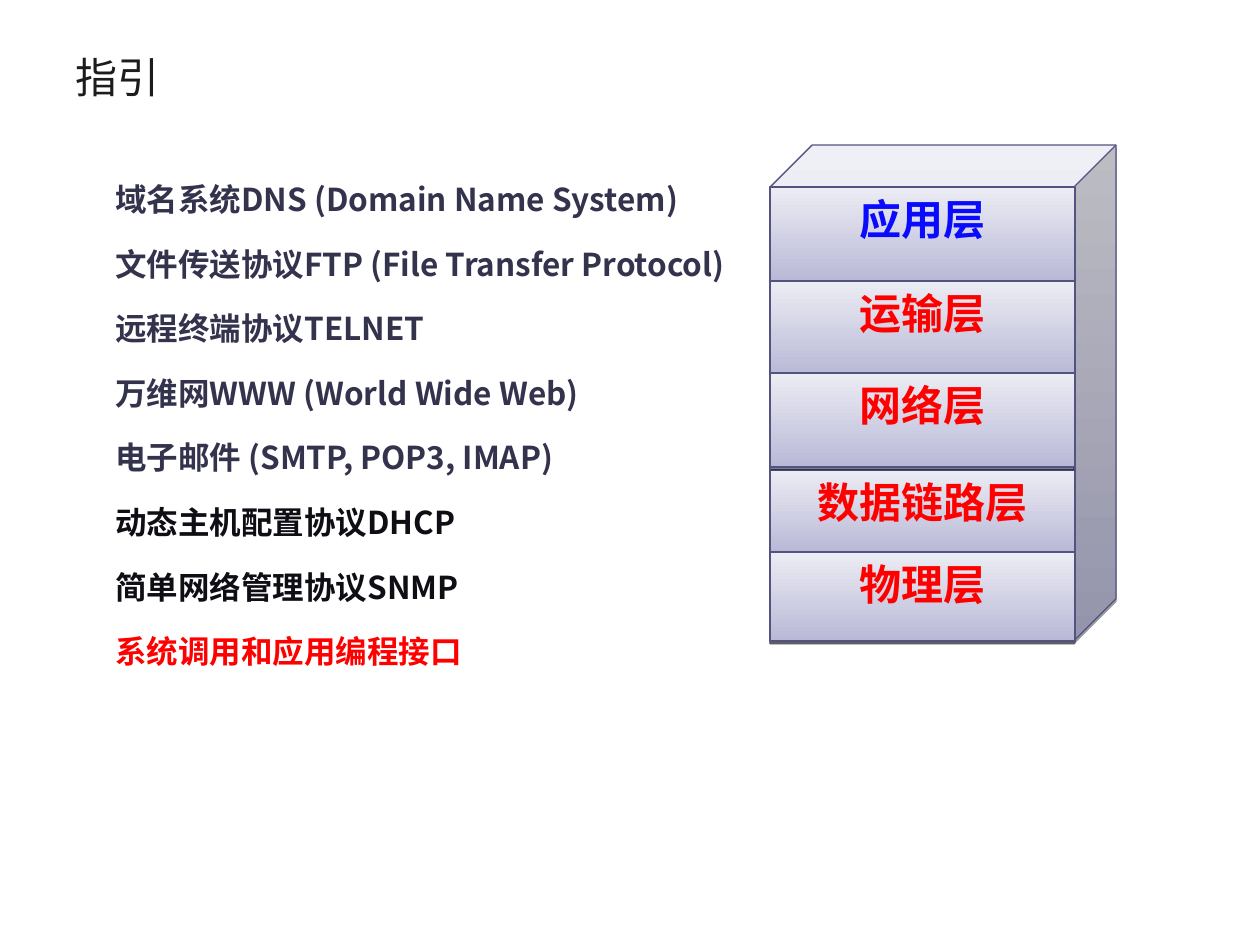
from lxml import etree
from pptx import Presentation
from pptx import util as u
from pptx.dml.color import RGBColor
from pptx.enum import shapes, text
from pptx.oxml import ns

SCALE = 914400 / 126
SANS, LATIN = "Noto Sans CJK SC", "Karla"
NAVY, INK, RED, BLUE = "33334D", "0E0E14", "FF0000", "0A0AFF"
EDGE, SHADE, TINT = "535380", "B9B9D7", "ECECF4"
TOPICS = [
    ("域名系统DNS (Domain Name System)", NAVY),
    ("文件传送协议FTP (File Transfer Protocol)", NAVY),
    ("远程终端协议TELNET", NAVY),
    ("万维网WWW (World Wide Web)", NAVY),
    ("电子邮件 (SMTP, POP3, IMAP)", NAVY),
    ("动态主机配置协议DHCP", INK),
    ("简单网络管理协议SNMP", INK),
    ("系统调用和应用编程接口", RED),
]
LAYERS = [
    ("应用层", SANS, BLUE, 42, 94, [136], (42, 136)),
    ("运输层", SANS, RED, 136, 94, [230], (136, 230)),
    ("数据链路层", LATIN, RED, 325, 82, [325, 472], (325, 472)),
    ("网络层", LATIN, RED, 228, 94, [], (230, 325)),
    ("物理层", LATIN, RED, 407, 89, [], None),
]


def px(*lengths):
    """Turn pixel lengths into EMU."""
    return [u.Emu(round(length * SCALE)) for length in lengths]


def color(value):
    """Turn a hex string into a colour."""
    return RGBColor.from_string(value)


def child(parent, tag, **attributes):
    """Append a drawing element to a parent."""
    return etree.SubElement(parent, ns.qn(tag), attributes)


def write(para, words, size, font, tone, bold):
    """Fill a paragraph with one formatted run."""
    para.text = words
    span = para.runs[0]
    span.font.size, span.font.bold, span.font.name = u.Pt(size), bold, font
    span.font.color.rgb = color(tone)
    child(span.font._element, "a:ea", typeface=SANS)


def add_title(page, box):
    """Place the page title in a box."""
    frame = page.shapes.add_textbox(*px(*box)).text_frame
    frame.word_wrap = True
    frame.vertical_anchor = text.MSO_ANCHOR.MIDDLE
    write(frame.paragraphs[0], "指引", 24, SANS, "1C1C1C", False)


def add_topics(page, box):
    """Place the indented list of topics in a box."""
    frame = page.shapes.add_textbox(*px(*box)).text_frame
    frame.word_wrap = True
    for index, (words, tone) in enumerate(TOPICS):
        para = frame.add_paragraph() if index else frame.paragraphs[0]
        write(para, words, 18, SANS, tone, True)
        para.line_spacing = u.Pt(32.4)
        if index:
            para.space_before = u.Pt(4.5)
        margin, indent = px(48, 1)
        para._p.get_or_add_pPr().set("marL", str(margin))
        para._p.get_or_add_pPr().set("indent", str(indent))


def add_block(group, preset, box):
    """Add a shaded block with a thin edge and a low shadow."""
    block = group.shapes.add_shape(preset, *px(*box))
    block.fill.gradient()
    block.fill.gradient_angle = 90
    for stop, tone, position in zip(block.fill.gradient_stops, (SHADE, TINT), (0, 1)):
        stop.color.rgb = color(tone)
        stop.position = position
    block.line.color.rgb = color(EDGE)
    block.line.width = u.Pt(0.75)
    block.shadow.inherit = False
    effects = block._element.spPr.find(ns.qn("a:effectLst"))
    shadow = child(effects, "a:outerShdw", blurRad="0", dist=str(u.Pt(1.6)),
                   dir="5400000", algn="ctr", rotWithShape="0")
    child(child(shadow, "a:srgbClr", val="000000"), "a:alpha", val="38000")
    return block


def add_rule(group, start, end):
    """Add a thin straight line between two points."""
    rule = group.shapes.add_connector(shapes.MSO_CONNECTOR.STRAIGHT, *px(*start, *end))
    rule.line.color.rgb = color(EDGE)
    rule.line.width = u.Pt(0.75)
    child(rule._element.spPr, "a:effectLst")


def add_stack(page, box):
    """Draw the cube of network layers in a box."""
    left, top, width, height = box
    group = page.shapes.add_group_shape()
    cube = add_block(group, shapes.MSO_SHAPE.CUBE, box)
    cube.adjustments[0] = 0.122
    front = width - 41
    right = left + front
    for name, font, tone, offset, depth, rules, sides in LAYERS:
        layer = add_block(group, shapes.MSO_SHAPE.RECTANGLE,
                          (left, top + offset, front, depth))
        frame = layer.text_frame
        frame.vertical_anchor = text.MSO_ANCHOR.TOP
        para = frame.paragraphs[0]
        write(para, name, 24, font, tone, True)
        para.alignment = text.PP_ALIGN.CENTER
        for y in rules:
            add_rule(group, (left, top + y), (right, top + y))
        if sides:
            for x in (left, right):
                add_rule(group, (x, top + sides[0]), (x, top + sides[1]))


def main():
    """Build and save the deck."""
    deck = Presentation()
    deck.slide_width, deck.slide_height = px(1260, 945)
    page = deck.slides.add_slide(deck.slide_layouts[6])
    add_topics(page, (54, 155, 974, 624))
    add_title(page, (63, 38, 1134, 77))
    add_stack(page, (770, 145, 346, 496))
    deck.save("out.pptx")


if __name__ == "__main__":
    main()
